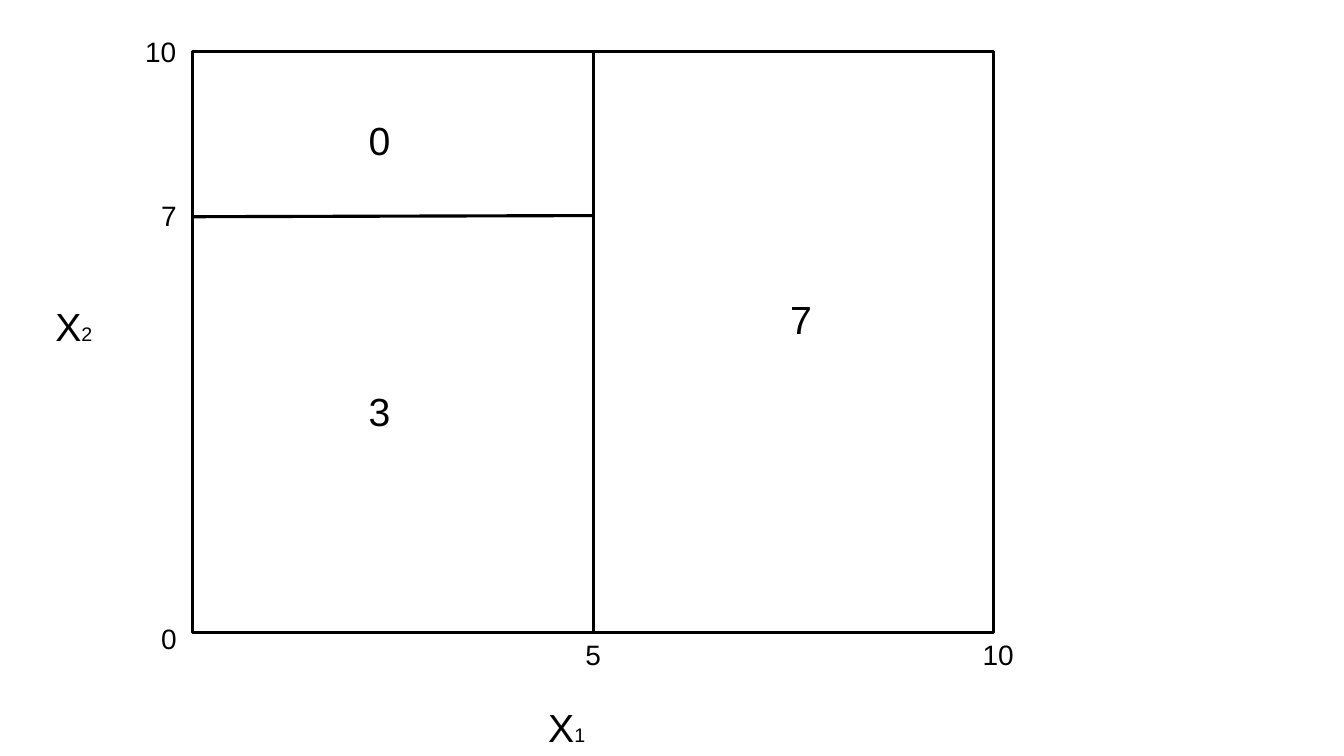
from lxml import etree
from pptx import Presentation
from pptx.dml.color import RGBColor
from pptx.enum.shapes import MSO_AUTO_SHAPE_TYPE as SHAPE, MSO_CONNECTOR as LINE
from pptx.enum.text import MSO_AUTO_SIZE as FIT
from pptx.oxml.ns import qn
from pptx.util import Pt

COLORS = {"ink": "000000"}
FONT = "Arial"
STROKE = 2.25
TICK, LABEL, SUBSCRIPT = 20, 28, 14
HEIGHTS = {TICK: 31.5, LABEL: 41}
NARROW, WIDE = 25.2, 41.8

LEFT, TOP, WIDTH, HEIGHT = 137.5, 36.7, 572.4, 415.4
RIGHT, BOTTOM = LEFT + WIDTH, TOP + HEIGHT
SPLIT_X = LEFT + WIDTH / 2
SPLIT_Y = 154.4

x_ticks = [("5", 411.1), ("10", 694.8)]
y_ticks = [("10", 96.5, 20.9), ("7", 108, 138.2), ("0", 108, 440.6)]
regions = [("0", 256.3, 79.2), ("3", 256.3, 272.9), ("7", 557.3, 207.4)]
axes = [("X", "2", 32.4, 212.4), ("X", "1", 384.5, 499)]
splits = [
    (SPLIT_X, TOP, SPLIT_X, BOTTOM),
    (SPLIT_X, SPLIT_Y - 0.4, LEFT, SPLIT_Y + 0.4),
]

ink = RGBColor.from_string(COLORS["ink"])
deck = Presentation()
deck.slide_width, deck.slide_height = Pt(960), Pt(540)
page = deck.slides.add_slide(deck.slide_layouts[6])


def style_line(line):
    line.color.rgb = ink
    line.width = Pt(STROKE)


def add_text(text, left, top, size, subscript=""):
    width = WIDE if len(text + subscript) > 1 else NARROW
    box = page.shapes.add_textbox(Pt(left), Pt(top), Pt(width), Pt(HEIGHTS[size]))
    frame = box.text_frame
    frame.word_wrap = True
    frame.auto_size = FIT.SHAPE_TO_FIT_TEXT
    para = frame.paragraphs[0]
    para.font.name = FONT
    para.font.size = Pt(size)
    para.font.color.rgb = ink
    para.add_run().text = text
    if subscript:
        span = para.add_run()
        span.text = subscript
        span.font.size = Pt(SUBSCRIPT)


square = page.shapes.add_shape(SHAPE.RECTANGLE, Pt(LEFT), Pt(TOP), Pt(WIDTH), Pt(HEIGHT))
square.shadow.inherit = False
square.fill.background()
style_line(square.line)

for ends in splits:
    split = page.shapes.add_connector(LINE.STRAIGHT, *map(Pt, ends))
    style_line(split.line)
    etree.SubElement(split._element.spPr, qn("a:effectLst"))

for text, left in x_ticks:
    add_text(text, left, BOTTOM, TICK)
for text, left, top in y_ticks:
    add_text(text, left, top, TICK)
for text, left, top in regions:
    add_text(text, left, top, LABEL)
for text, subscript, left, top in axes:
    add_text(text, left, top, LABEL, subscript)

deck.save("out.pptx")
